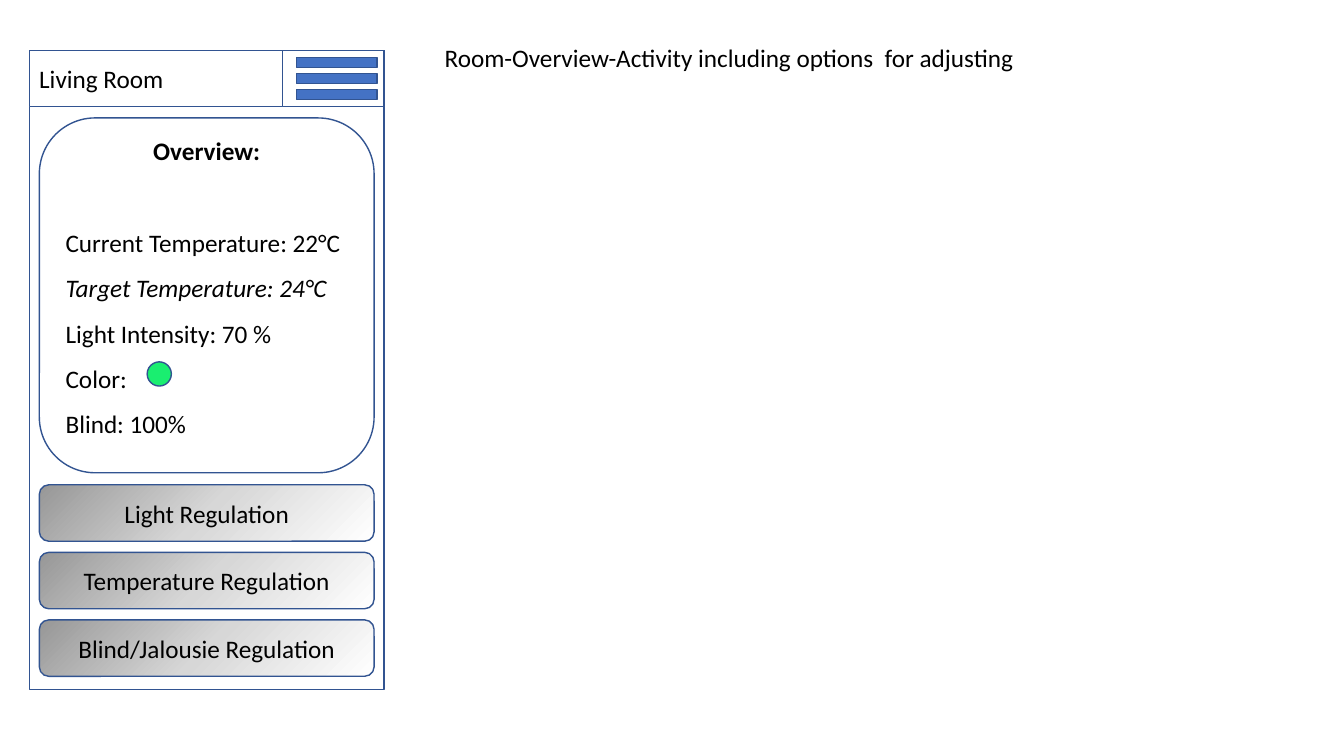
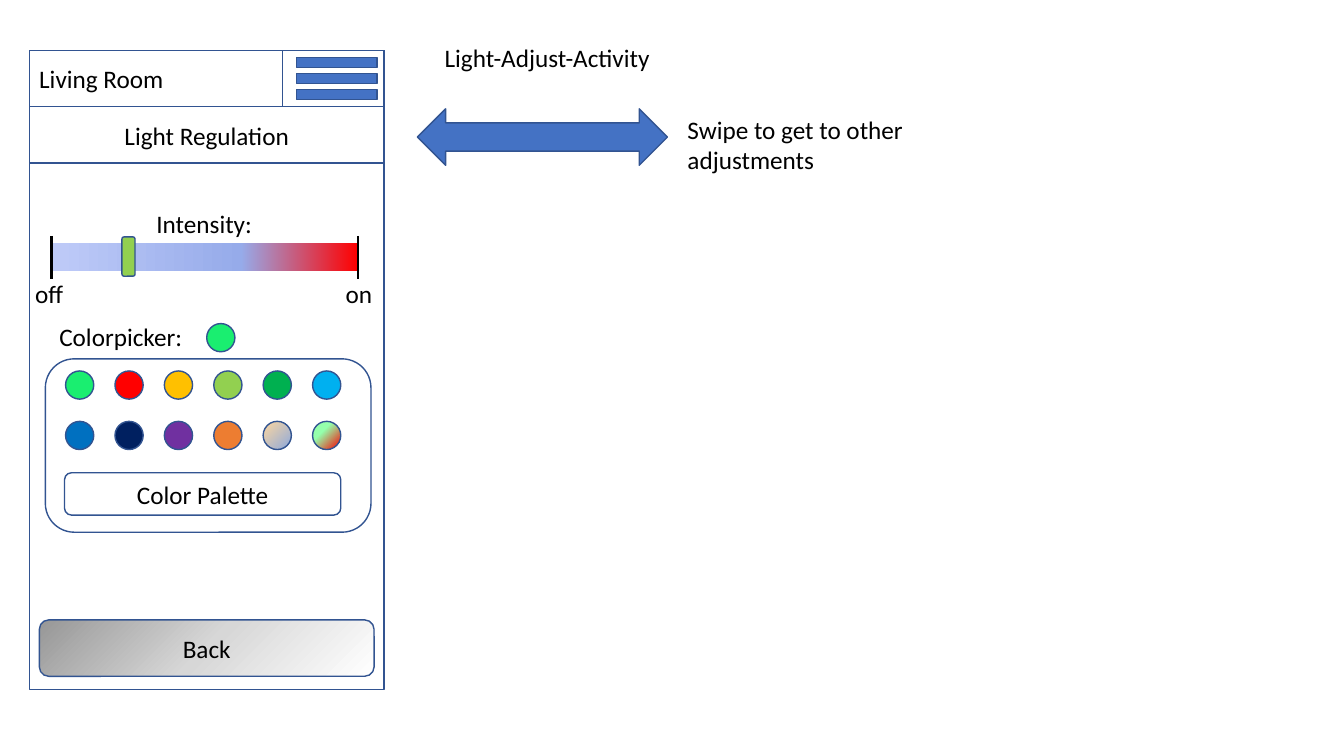
import pptx
import pptx.dml.color
import pptx.enum.shapes
import pptx.enum.text
import pptx.oxml
import pptx.oxml.ns
import pptx.util
from dataclasses import dataclass

PX = 9144  # EMU per px, 100 px to the inch
SHAPES = pptx.enum.shapes.MSO_SHAPE
ALIGN = pptx.enum.text.PP_ALIGN
ANCHOR = pptx.enum.text.MSO_ANCHOR


@dataclass(frozen=True)
class Theme:
    font: str = "Calibri"
    size: int = 18
    line_width: int = 1
    tick_width: int = 2
    text: str = "000000"
    outline: str = "325491"
    paper: str = "FFFFFF"
    accent: str = "4472C4"
    selected: str = "1AEE70"
    handle: str = "92D050"
    # Gradients: angle in degrees clockwise, then (percent, colour) stops
    button: tuple = (45, (0, "979797"), (50, "D7D7D7"), (100, "FFFFFF"))
    intensity: tuple = (0, (0, "BFCBF8"), (62, "96ABEA"), (100, "FF0000"))
    swatches: tuple = (
        ("1AEE70", "FF0000", "FFC000", "92D050", "00B050", "00B0F0"),
        ("0070C0", "002060", "7030A0", "ED7D31",
         (45, (0, "FFD8A0"), (100, "8FAADC")),
         (45, (37, "95FFAC"), (100, "FF0000"))),
    )


def px(*lengths):
    return [pptx.util.Emu(length * PX) for length in lengths]


def rgb(colour):
    return pptx.dml.color.RGBColor.from_string(colour)


class Mockup:
    """Holds the theme and the current slide, and draws wireframe elements."""

    def __init__(self, presentation, theme):
        self.presentation = presentation
        self.theme = theme
        self.slide = None

    def new_slide(self, caption):
        layout = self.presentation.slide_layouts[5]  # Title Only
        self.slide = self.presentation.slides.add_slide(layout)
        title = self.slide.shapes.title
        title.left, title.top, title.width, title.height = px(431, 37, 873, 40)
        self.set_text(title.text_frame, caption, anchor=ANCHOR.TOP)

    # Text
    def style(self, paragraph, align):
        paragraph.alignment = align
        paragraph.font.name = self.theme.font
        paragraph.font.size = pptx.util.Pt(self.theme.size)
        paragraph.font.color.rgb = rgb(self.theme.text)

    def set_text(self, frame, text, align=ALIGN.LEFT, anchor=ANCHOR.MIDDLE):
        frame.word_wrap = True
        frame.auto_size = pptx.enum.text.MSO_AUTO_SIZE.NONE
        frame.vertical_anchor = anchor
        frame.text = text
        for paragraph in frame.paragraphs:
            self.style(paragraph, align)

    def label(self, box, text, align=ALIGN.LEFT, anchor=ANCHOR.TOP):
        textbox = self.slide.shapes.add_textbox(*px(*box))
        self.set_text(textbox.text_frame, text, align, anchor)

    # Shapes
    def gradient(self, shape, angle, *stops):
        shape.fill.gradient()
        shape.fill.gradient_angle = -angle % 360
        stop_list = shape._element.spPr.find(".//" + pptx.oxml.ns.qn("a:gsLst"))
        for stop in list(stop_list):
            stop_list.remove(stop)
        for percent, colour in stops:
            stop_list.append(pptx.oxml.parse_xml(
                f'<a:gs {pptx.oxml.ns.nsdecls("a")} pos="{percent * 1000}">'
                f'<a:srgbClr val="{colour}"/></a:gs>'))

    def shape(self, kind, box, fill=None, text="", align=ALIGN.CENTER, outlined=True):
        shape = self.slide.shapes.add_shape(kind, *px(*box))
        shape.shadow.inherit = False
        if fill is None:
            shape.fill.background()
        elif isinstance(fill, tuple):
            self.gradient(shape, *fill)
        else:
            shape.fill.solid()
            shape.fill.fore_color.rgb = rgb(fill)
        if outlined:
            shape.line.color.rgb = rgb(self.theme.outline)
            shape.line.width = pptx.util.Pt(self.theme.line_width)
        else:
            shape.line.fill.background()
        if text:
            self.set_text(shape.text_frame, text, align)
        return shape

    def tick(self, x, top, bottom):
        line = self.slide.shapes.add_connector(
            pptx.enum.shapes.MSO_CONNECTOR.STRAIGHT, *px(x, top, x, bottom))
        line.line.color.rgb = rgb(self.theme.text)
        line.line.width = pptx.util.Pt(self.theme.tick_width)
        line._element.spPr.append(pptx.oxml.parse_xml(
            f'<a:effectLst {pptx.oxml.ns.nsdecls("a")}/>'))

    def dot(self, left, top, fill, size=28):
        self.shape(SHAPES.OVAL, (left, top, size, size), fill)

    # Parts of the phone screen
    def phone(self, room):
        paper = self.theme.paper
        self.shape(SHAPES.RECTANGLE, (29, 50, 352, 634))
        self.shape(SHAPES.RECTANGLE, (29, 50, 352, 56), paper, room, ALIGN.LEFT)
        self.shape(SHAPES.RECTANGLE, (280, 50, 101, 56), paper)
        for row in range(3):
            self.shape(SHAPES.RECTANGLE, (294, 57 + 16 * row, 80, 10), self.theme.accent)

    def buttons(self, *names):
        """Stack buttons upwards from the foot of the screen."""
        for row, name in enumerate(reversed(names)):
            self.shape(SHAPES.ROUNDED_RECTANGLE, (39, 615 - 67 * row, 332, 56),
                       self.theme.button, name)

    def overview(self, heading, readings, italic):
        card = self.shape(SHAPES.ROUNDED_RECTANGLE, (39, 117, 332, 352),
                          self.theme.paper, "\n".join([heading, *readings]), ALIGN.LEFT)
        frame = card.text_frame
        frame.margin_top, frame.margin_bottom = px(0, 31)
        for paragraph in frame.paragraphs:
            paragraph.line_spacing = 1.5
            paragraph.font.italic = paragraph.text == italic
        first, second = frame.paragraphs[:2]
        first.alignment = ALIGN.CENTER
        first.font.bold = True
        second.space_before = pptx.util.Pt(33)

    def slider(self, name, low, high):
        self.label((50, 202, 305, 39), name, ALIGN.CENTER, ANCHOR.MIDDLE)
        self.shape(SHAPES.RECTANGLE, (50, 241, 305, 28), self.theme.intensity, outlined=False)
        self.shape(SHAPES.ROUNDED_RECTANGLE, (121, 235, 13, 39), self.theme.handle)
        for x, left, text in ((51, 25, low), (355, 333, high)):
            self.tick(x, 234, 277)
            self.label((left, 271, 53, 40), text)

    def color_picker(self, name, palette):
        self.label((49, 314, 150, 39), name, anchor=ANCHOR.MIDDLE)
        self.dot(205, 321, self.theme.selected)
        self.shape(SHAPES.ROUNDED_RECTANGLE, (45, 356, 323, 172))
        for row, fills in enumerate(self.theme.swatches):
            for column, fill in enumerate(fills):
                self.dot(65 + 49 * column, 368 + 50 * row, fill)
        self.shape(SHAPES.ROUNDED_RECTANGLE, (64, 469, 274, 42), self.theme.paper, palette)


def room_overview(mockup):
    mockup.new_slide("Room-Overview-Activity including options  for adjusting")
    mockup.phone("Living Room")
    mockup.buttons("Light Regulation", "Temperature Regulation", "Blind/Jalousie Regulation")
    target = "Target Temperature: 24°C"
    mockup.overview("Overview:", ["Current Temperature: 22°C", target,
                                  "Light Intensity: 70 %", "Color:", "Blind: 100%"], target)
    mockup.dot(146, 359, mockup.theme.selected, 24)


def light_adjust(mockup):
    mockup.new_slide("Light-Adjust-Activity")
    mockup.phone("Living Room")
    mockup.shape(SHAPES.RECTANGLE, (29, 106, 352, 56), mockup.theme.paper, "Light Regulation")
    mockup.slider("Intensity:", "off", "on")
    mockup.color_picker("Colorpicker:", "Color Palette")
    mockup.buttons("Back")
    mockup.shape(SHAPES.LEFT_RIGHT_ARROW, (414, 108, 248, 56), mockup.theme.accent)
    mockup.label((672, 108, 248, 71), "Swipe to get to other adjustments")


def main():
    presentation = pptx.Presentation()
    presentation.slide_width, presentation.slide_height = px(1333, 750)
    mockup = Mockup(presentation, Theme())
    room_overview(mockup)
    light_adjust(mockup)
    presentation.save("out.pptx")


if __name__ == "__main__":
    main()
